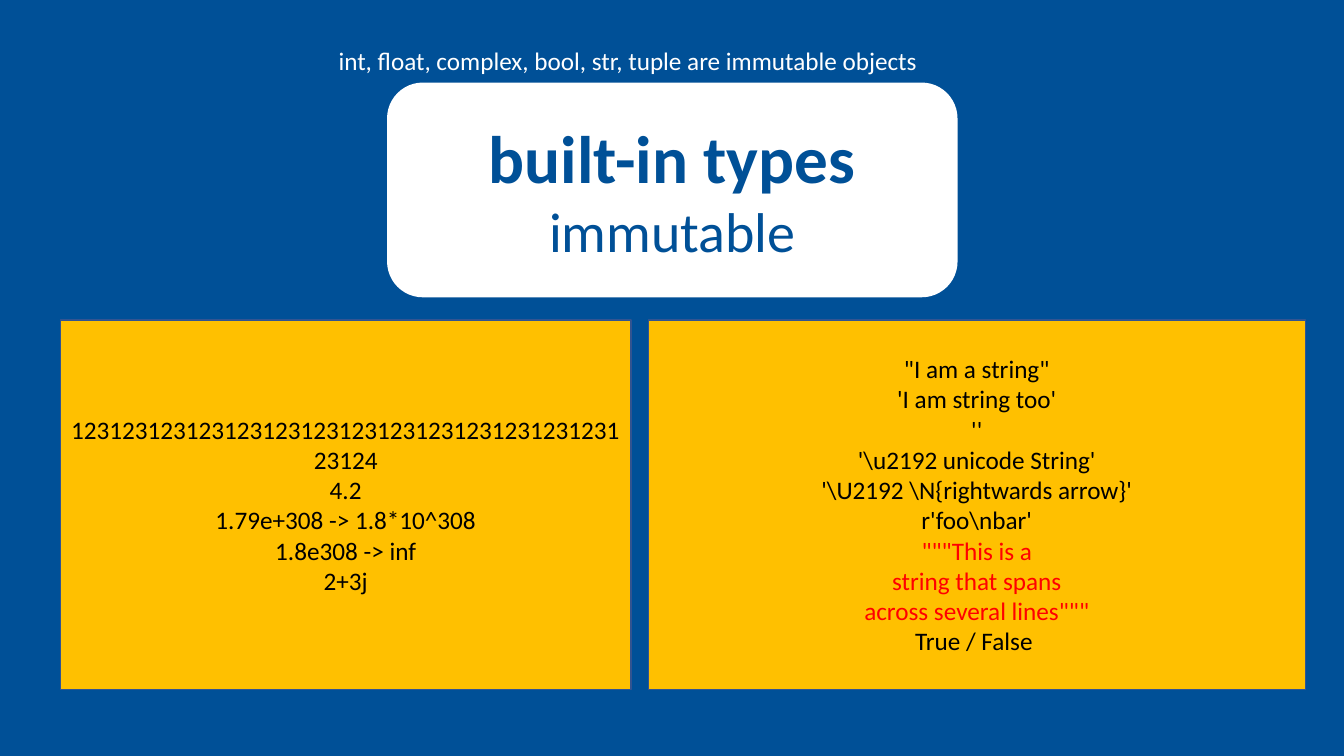
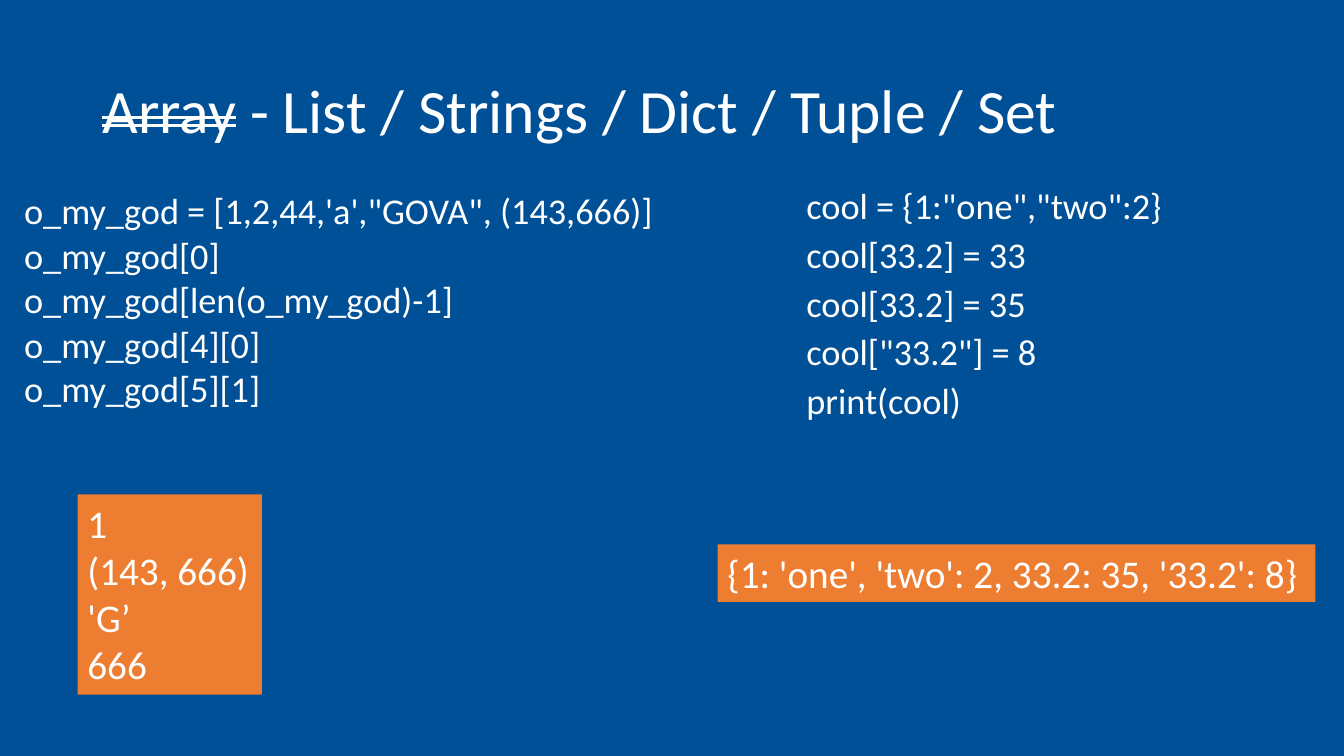
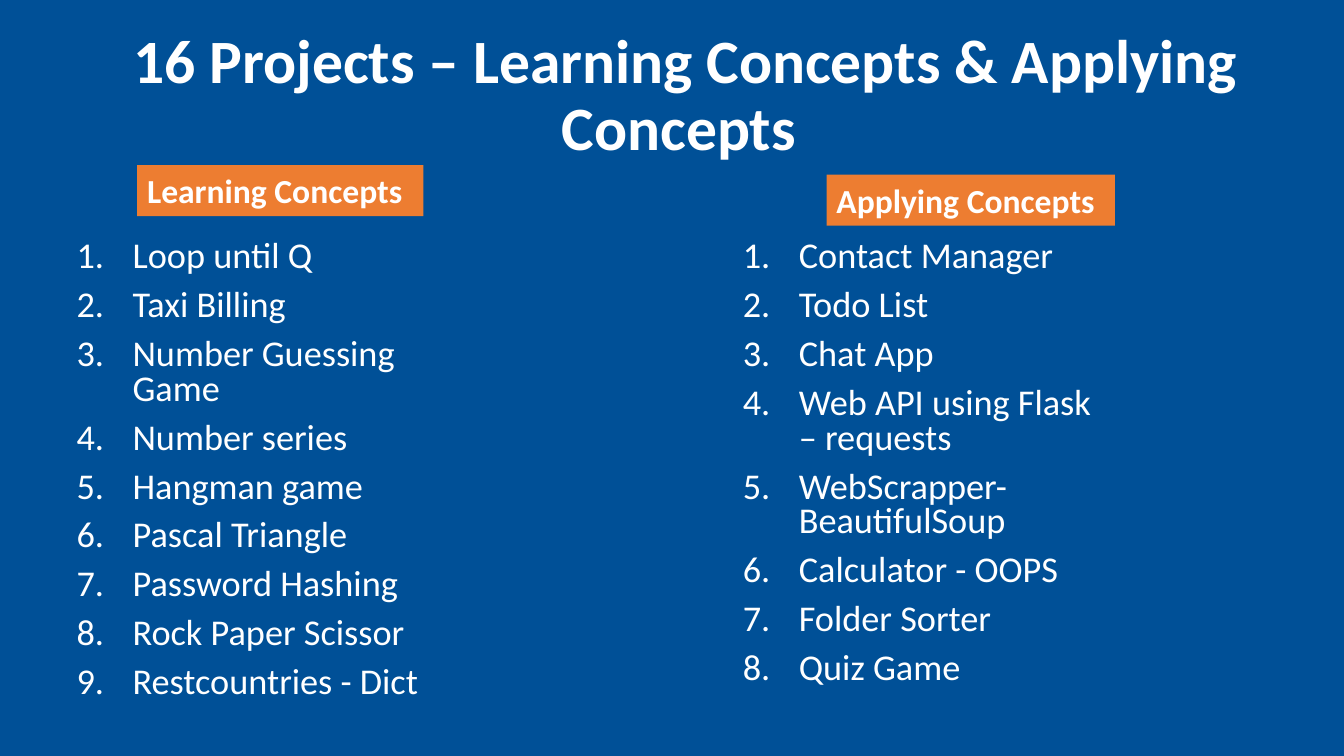
"""Build three slides on Python types, collections and practice projects."""
from dataclasses import dataclass

from lxml.etree import SubElement
from pptx import Presentation
from pptx.dml.color import RGBColor
from pptx.enum.shapes import MSO_SHAPE
from pptx.enum.text import MSO_ANCHOR, MSO_AUTO_SIZE, PP_ALIGN
from pptx.oxml.ns import qn
from pptx.util import Pt


@dataclass(frozen=True)
class Theme:
    font: str = "Calibri"
    blue: RGBColor = RGBColor(0x00, 0x50, 0x97)
    edge: RGBColor = RGBColor(0x32, 0x54, 0x91)
    gold: RGBColor = RGBColor(0xFF, 0xC0, 0x00)
    tag: RGBColor = RGBColor(0xED, 0x7D, 0x31)
    white: RGBColor = RGBColor(0xFF, 0xFF, 0xFF)
    black: RGBColor = RGBColor(0x00, 0x00, 0x00)
    red: RGBColor = RGBColor(0xFF, 0x00, 0x00)
    head: float = 48
    title: float = 44
    sub: float = 40
    out: float = 28
    list: float = 25.9
    label: float = 24
    text: float = 18


theme = Theme()


def place(shape, box):
    shape.left, shape.top, shape.width, shape.height = [Pt(n) for n in box]


def write(shape, lines, size, color=theme.white, align=PP_ALIGN.LEFT, bold=False):
    shape.text_frame.text = "\n".join(lines)
    for para in shape.text_frame.paragraphs:
        para.alignment = align
        para.font.name = theme.font
        para.font.size = Pt(size)
        para.font.bold = bold
        para.font.color.rgb = color


deck = Presentation()
deck.slide_width, deck.slide_height = Pt(960), Pt(540)
back = deck.slide_master.background.fill
back.solid()
back.fore_color.rgb = theme.blue
pair = deck.slide_layouts[3]
blank = deck.slide_layouts[6]

types = deck.slides.add_slide(blank)
values = [
    "123123123123123123123123123123123123123123123124",
    "4.2",
    "1.79e+308 -> 1.8*10^308",
    "1.8e308 -> inf",
    "2+3j",
]
strings = [
    '"I am a string"',
    "'I am string too'",
    "''",
    r"'\u2192 unicode String'",
    r"'\U2192 \N{rightwards arrow}'",
    r"r'foo\nbar'",
    '"""This is a',
    "string that spans",
    'across several lines"""',
    "True / False ",
]
cards = [
    (MSO_SHAPE.ROUNDED_RECTANGLE, (276.5, 59, 407.5, 153.4), theme.white,
     ["built-in types", "immutable"], theme.sub, theme.blue),
    (MSO_SHAPE.RECTANGLE, (43.2, 228.5, 407.5, 264), theme.gold,
     values, theme.text, theme.black),
    (MSO_SHAPE.RECTANGLE, (463, 228.5, 469.4, 264), theme.gold,
     strings, theme.text, theme.black),
]
for kind, box, fill, lines, size, color in cards:
    card = types.shapes.add_shape(kind, *[Pt(n) for n in box])
    card.shadow.inherit = False
    card.fill.solid()
    card.fill.fore_color.rgb = fill
    if fill == theme.gold:
        card.line.color.rgb = theme.edge
        card.line.width = Pt(1)
    else:
        card.line.fill.background()
    card.text_frame.word_wrap = True
    card.text_frame.vertical_anchor = MSO_ANCHOR.MIDDLE
    write(card, lines, size, color, PP_ALIGN.CENTER)
    for para in card.text_frame.paragraphs:
        if para.text == "built-in types":
            para.font.size = Pt(theme.head)
            para.font.bold = True
        elif para.text in strings[6:9]:
            para.font.color.rgb = theme.red

note = types.shapes.add_textbox(Pt(234.7), Pt(28.8), Pt(432.7), Pt(28.8))
write(note, ["int, float, complex, bool, str, tuple are immutable objects"], theme.text)

items = [
    "o_my_god = [1,2,44,'a',\"GOVA\", (143,666)]",
    "o_my_god[0]",
    "o_my_god[len(o_my_god)-1]",
    "o_my_god[4][0]",
    "o_my_god[5][1]",
]
cool = [
    'cool = {1:"one","two":2}',
    "cool[33.2] = 33",
    "cool[33.2] = 35",
    'cool["33.2"] = 8',
    "print(cool)",
]
learn = [
    "Loop until Q",
    "Taxi Billing",
    "Number Guessing Game",
    "Number series",
    "Hangman game",
    "Pascal Triangle",
    "Password Hashing",
    "Rock Paper Scissor",
    "Restcountries - Dict",
]
apply = [
    "Contact Manager",
    "Todo List",
    "Chat App",
    "Web API using Flask – requests",
    "WebScrapper- BeautifulSoup",
    "Calculator - OOPS",
    "Folder Sorter",
    "Quiz Game",
]
pages = [
    {
        "title": ["Array", " - List / Strings / Dict / Tuple / Set"],
        "box": (66, 28.8, 828, 104.4),
        "bold": False,
        "align": PP_ALIGN.LEFT,
        "indent": 0,
        "lists": [(items, (10, 139.7, 502.6, 162.7), 0.7),
                  (cool, (568.8, 133.2, 391.2, 177.8), 0.8)],
        "size": theme.out,
        "tags": [(["{1: 'one', 'two': 2, 33.2: 35, '33.2': 8}"], (512.6, 388.8, 427, 41.2)),
                 (["1", "(143, 666)", "'G’", "666"], (55.4, 353.2, 131.8, 143))],
    },
    {
        "title": ["16 Projects – Learning Concepts & Applying Concepts "],
        "box": (20.2, 13, 939.6, 112.3),
        "bold": True,
        "align": PP_ALIGN.CENTER,
        "indent": 40,
        "lists": [(learn, (47.5, 168.5, 270.7, 342.7), 0.8),
                  (apply, (523.4, 168.5, 270.7, 342.7), 0.8)],
        "size": theme.label,
        "tags": [(["Learning Concepts"], (98, 118, 204.5, 36.4)),
                 (["Applying Concepts"], (590.4, 124.8, 206, 36.4))],
    },
]

for page in pages:
    slide = deck.slides.add_slide(pair)
    title = slide.shapes.title
    place(title, page["box"])
    title.text_frame.auto_size = MSO_AUTO_SIZE.NONE
    title.text_frame.vertical_anchor = MSO_ANCHOR.MIDDLE
    write(title, page["title"][:1], theme.title, align=page["align"], bold=page["bold"])
    para = title.text_frame.paragraphs[0]
    para.line_spacing = 0.9
    for rest in page["title"][1:]:
        para.runs[0].font._element.set("strike", "dblStrike")
        para.add_run().text = rest

    for index, (lines, box, space) in enumerate(page["lists"], 1):
        body = slide.placeholders[index]
        place(body, box)
        body.text_frame.auto_size = MSO_AUTO_SIZE.NONE
        write(body, lines, theme.list)
        for para in body.text_frame.paragraphs:
            para.line_spacing = space
            para.space_before = Pt(10)
            props = para._p.get_or_add_pPr()
            props.set("marL", str(Pt(page["indent"])))
            props.set("indent", str(-Pt(page["indent"])))
            if page["indent"]:
                mark = SubElement(props, qn("a:buFont"), typeface="+mj-lt")
                mark.addnext(SubElement(props, qn("a:buAutoNum"), type="arabicPeriod"))
            else:
                mark = SubElement(props, qn("a:buNone"))
            props.append(props.find(qn("a:defRPr")))

    for lines, box in page["tags"]:
        tag = slide.shapes.add_textbox(*[Pt(n) for n in box])
        tag.fill.solid()
        tag.fill.fore_color.rgb = theme.tag
        tag.text_frame.auto_size = MSO_AUTO_SIZE.SHAPE_TO_FIT_TEXT
        write(tag, lines, page["size"], bold=page["bold"])

deck.save("out.pptx")
